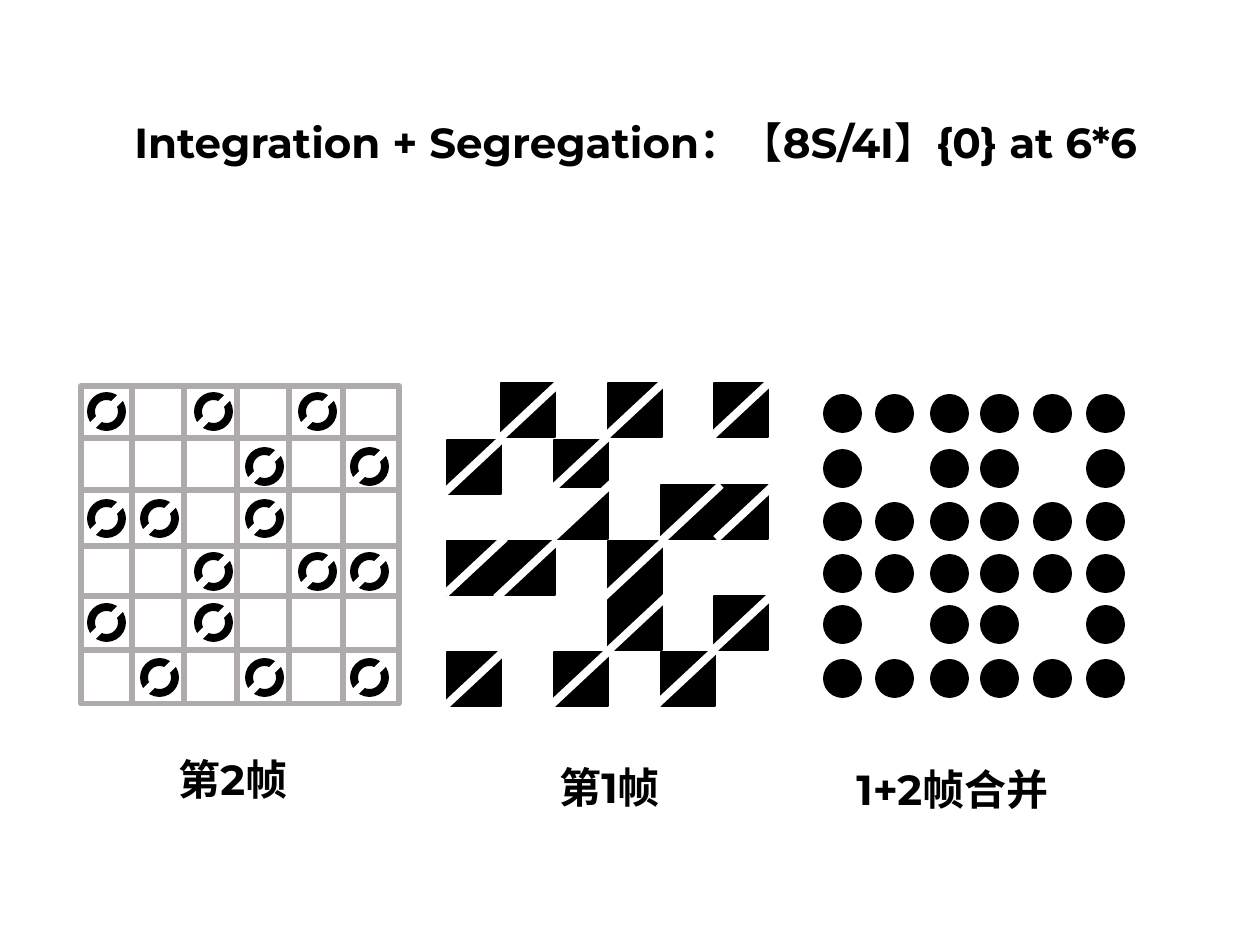
"""Build a slide of two 6 by 6 pattern frames and their merged frame."""
from lxml.etree import SubElement
from pptx import Presentation
from pptx.dml.color import RGBColor
from pptx.enum.shapes import MSO_CONNECTOR, MSO_SHAPE
from pptx.enum.text import MSO_AUTO_SIZE
from pptx.oxml.ns import qn
from pptx.util import Inches, Pt

PX = Inches(1) / 126
BLACK = RGBColor(0x00, 0x00, 0x00)
WHITE = RGBColor(0xFF, 0xFF, 0xFF)
GRAY = RGBColor(0xAF, 0xAB, 0xAB)

TEXTS = [
    ("第2帧", 166, 747, 151),
    ("第1帧", 547, 755, 151),
    ("1+2帧合并", 844, 757, 281),
    ("Integration + Segregation：【8S/4I】{0} at 6*6", 122, 110, 1094),
]
GRID_LEFT, GRID_TOP, GRID_SIZE = 81, 386, 318
GRID_COLUMNS = [132, 184, 237, 289, 343]
GRID_ROWS = [438, 490, 546, 596, 650]
CIRCLE_SIZE = 31
SQUARE_SIZE = 54
SLASH_WIDTH, SLASH_HEIGHT = 60, 56

RINGS = {
    "pattern": ["X.X.X.", "...X.X", "XX.X..", "..X.XX", "X.X...", ".X.X.X"],
    "columns": [91, 144, 198, 249, 302, 354],
    "rows": [396, 451, 503, 556, 607, 662],
}
DOTS = {
    "pattern": ["XXXXXX", "X.XX.X", "XXXXXX", "XXXXXX", "X.XX.X", "XXXXXX"],
    "columns": [827, 879, 934, 984, 1037, 1090],
    "rows": [398, 453, 506, 558, 609, 663],
}
SQUARES = {
    "pattern": [".X.X.X", "X.X...", "..X.XX", "XX.X..", "...X.X", "X.X.X."],
    "columns": [447, 501, 554, 608, 661, 714],
    "rows": [383, 440, 485, 541, 596, 652],
}
SLASHES = [
    (559, 383), (664, 382), (770, 382), (503, 438), (609, 436), (612, 483),
    (721, 485), (776, 483), (505, 538), (556, 542), (664, 541), (668, 595),
    (772, 595), (504, 651), (609, 651), (714, 651),
]
TRIANGLE = (553, 489, 50, 45)


def emu(*lengths):
    return [round(length * PX) for length in lengths]


def cells(pattern, columns, rows):
    return [
        (x, y)
        for marks, y in zip(pattern, rows)
        for mark, x in zip(marks, columns)
        if mark == "X"
    ]


def add_shape(shapes, kind, box, fill, line, width):
    shape = shapes.add_shape(kind, *emu(*box))
    shape.shadow.inherit = False
    if fill is None:
        shape.fill.background()
    else:
        shape.fill.solid()
        shape.fill.fore_color.rgb = fill
    shape.line.color.rgb = line
    shape.line.width = Pt(width)
    return shape


def add_line(shapes, ends, color, width):
    line = shapes.add_connector(MSO_CONNECTOR.STRAIGHT, *emu(*ends))
    line.line.color.rgb = color
    line.line.width = Pt(width)
    properties = line._element.find(qn("p:spPr"))
    SubElement(properties, qn("a:effectLst"))


def add_text(shapes, text, left, top, width, size=24, color=BLACK, bold=True):
    frame = shapes.add_textbox(*emu(left, top, width, 63)).text_frame
    frame.word_wrap = True
    frame.auto_size = MSO_AUTO_SIZE.SHAPE_TO_FIT_TEXT
    run = frame.paragraphs[0].add_run()
    run.text = text
    run.font.name = "Montserrat"
    run.font.size = Pt(size)
    run.font.bold = bold
    run.font.color.rgb = color


def draw_grid(shapes):
    right, bottom = GRID_LEFT + GRID_SIZE, GRID_TOP + GRID_SIZE
    box = (GRID_LEFT, GRID_TOP, GRID_SIZE, GRID_SIZE)
    add_shape(shapes, MSO_SHAPE.RECTANGLE, box, WHITE, GRAY, 3)
    for x in GRID_COLUMNS:
        add_line(shapes, (x, GRID_TOP, x, bottom), GRAY, 3)
    for y in GRID_ROWS:
        add_line(shapes, (right, y, GRID_LEFT, y), GRAY, 3)


def draw_circles(shapes):
    size = CIRCLE_SIZE
    for x, y in cells(**RINGS):
        ring = shapes.add_group_shape().shapes
        add_shape(ring, MSO_SHAPE.OVAL, (x, y, size, size), None, BLACK, 4.5)
        add_line(ring, (x + size, y, x, y + size), WHITE, 4.5)
    for x, y in cells(**DOTS):
        add_shape(shapes, MSO_SHAPE.OVAL, (x, y, size, size), BLACK, BLACK, 4.5)


def draw_squares(shapes):
    squares = shapes.add_group_shape().shapes
    for x, y in cells(**SQUARES):
        box = (x, y, SQUARE_SIZE, SQUARE_SIZE)
        add_shape(squares, MSO_SHAPE.RECTANGLE, box, BLACK, BLACK, 1)
    for x, y in SLASHES:
        add_line(shapes, (x, y, x - SLASH_WIDTH, y + SLASH_HEIGHT), WHITE, 4.5)
    triangle = add_shape(
        shapes, MSO_SHAPE.ISOSCELES_TRIANGLE, TRIANGLE, WHITE, WHITE, 1
    )
    triangle.adjustments[0] = 1
    triangle.rotation = 180


def main():
    presentation = Presentation()
    presentation.slide_width = Inches(10)
    presentation.slide_height = Inches(7.5)
    slide = presentation.slides.add_slide(presentation.slide_layouts[6])
    draw_grid(slide.shapes)
    draw_circles(slide.shapes)
    for text, left, top, width in TEXTS:
        add_text(slide.shapes, text, left, top, width)
    draw_squares(slide.shapes)
    presentation.save("out.pptx")


if __name__ == "__main__":
    main()
